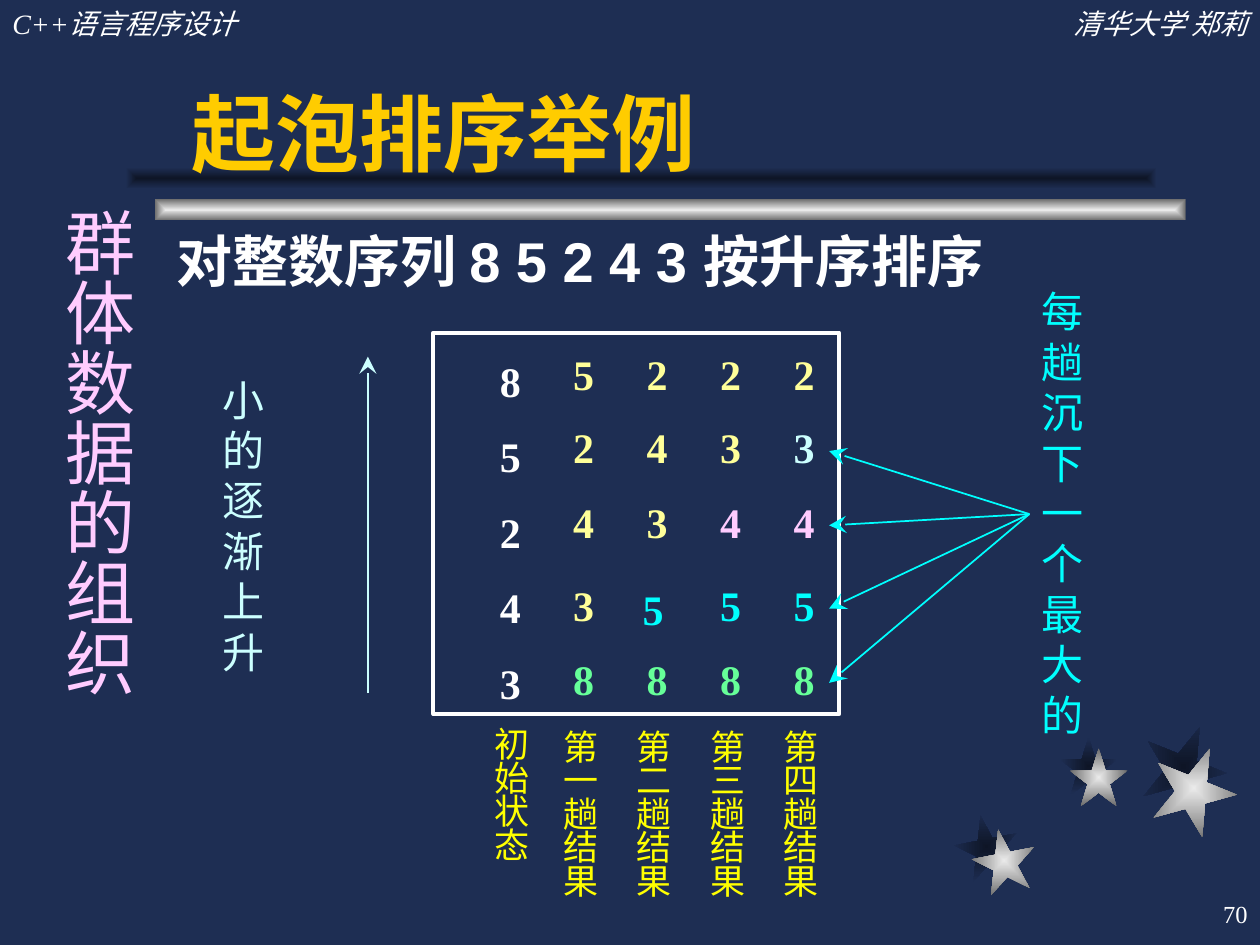
from lxml import etree
from pptx import Presentation
from pptx.dml.color import RGBColor
from pptx.enum.shapes import MSO_CONNECTOR, MSO_SHAPE
from pptx.enum.text import MSO_ANCHOR, MSO_AUTO_SIZE, PP_ALIGN
from pptx.oxml.ns import qn
from pptx.util import Inches, Pt

COLORS = {
    "navy": "1E2E53", "shade": "0E1526", "silver": "EAEAEA", "grey": "6C6C6C",
    "white": "FFFFFF", "gold": "FFCC00", "yellow": "FFFF00", "cream": "FFFF99",
    "green": "66FF99", "cyan": "00FFFF", "ice": "CCFFFF", "pink": "FFCCFF",
}
SERIF, SANS, CJK = "Times New Roman", "Arial", "Noto Sans CJK SC"
SHADOW, METAL = ("shade", "navy"), ("silver", "grey")

# left, top, size, rotation
STARS = {
    SHADOW: [(7.58, 6.47, 0.5, 349), (8.41, 5.85, 0.46, 0), (9.06, 5.75, 0.67, 22)],
    METAL: [(7.72, 6.58, 0.5, 349), (8.49, 5.94, 0.46, 0), (9.14, 5.92, 0.67, 22)],
}
BARS = {METAL: (1.23, 1.58), SHADOW: (1, 1.33)}

INITIAL = ["8", "5", "2", "4", "3"]
PASSES = ["52438", "24358", "23458", "23458"]
SETTLED = ["cream", "ice", "pink", "cyan", "green"]  # colour of each row once sorted
ROW_TOPS = [2.72, 3.3, 3.89, 4.55, 5.14]
FIRST_COLUMN, COLUMN_STEP = 4.45, 0.5833
NUDGES = {(1, 3): (-0.03, 0.03)}  # (pass, row): shift

# text, left, top, width, height
CAPTIONS = [("初始状态", 3.83, 5.75, 0.42, 1.17)] + [
    (f"第{number}趟结果", FIRST_COLUMN - 0.08 + index * COLUMN_STEP, 5.77, 0.42, 1.44)
    for index, number in enumerate("一二三四")]

ARROW_ORIGIN = (8.17, 4.08)
ARROW_TIPS = [(6.58, y) for y in (5.42, 4.83, 4.17, 3.58)]


def rgb(name):
    return RGBColor.from_string(COLORS[name])


def style(frame, size, color, font=SERIF, bold=False, italic=False,
          align=PP_ALIGN.LEFT, before=0, spacing=None):
    for para in frame.paragraphs:
        para.alignment = align
        para.space_before = Pt(before)
        if spacing:
            para.line_spacing = spacing
        for span in para.runs:
            span.font.name, span.font.size = font, Pt(size)
            span.font.bold, span.font.italic = bold, italic
            span.font.color.rgb = rgb(color)
            east_asian = etree.SubElement(span.font._element, qn("a:ea"))
            east_asian.set("typeface", CJK)


def add_text(page, text, left, top, width, height, size, color,
             wrap=True, grow=True, **look):
    box = page.shapes.add_textbox(*map(Inches, (left, top, width, height)))
    frame = box.text_frame
    frame.text = text
    frame.word_wrap = wrap
    frame.auto_size = MSO_AUTO_SIZE.SHAPE_TO_FIT_TEXT if grow else MSO_AUTO_SIZE.NONE
    style(frame, size, color, **look)
    return frame


def add_glow(page, kind, left, top, width, height, glow, rotation=0):
    """Add a borderless shape whose colour changes from its centre to its edges."""
    shape = page.shapes.add_shape(kind, *map(Inches, (left, top, width, height)))
    shape.rotation = rotation
    shape.shadow.inherit = False
    shape.line.fill.background()
    shape.fill.gradient()
    for stop, color in zip(shape.fill.gradient_stops, glow):
        stop.color.rgb = rgb(color)
    gradient = shape._element.spPr.find(qn("a:gradFill"))
    gradient.remove(gradient.find(qn("a:lin")))
    route = etree.SubElement(gradient, qn("a:path"))
    route.set("path", "rect")
    center = etree.SubElement(route, qn("a:fillToRect"))
    for side in "ltrb":
        center.set(side, "50000")


def add_arrow(page, start, tip, color):
    arrow = page.shapes.add_connector(MSO_CONNECTOR.STRAIGHT, *map(Inches, start + tip))
    arrow.line.color.rgb = rgb(color)
    arrow.line.width = Pt(1)
    end = etree.SubElement(arrow.line._get_or_add_ln(), qn("a:tailEnd"))
    for key, value in (("type", "stealth"), ("w", "lg"), ("len", "lg")):
        end.set(key, value)
    etree.SubElement(arrow._element.spPr, qn("a:effectLst"))


def add_decoration(page):
    for glow, stars in STARS.items():
        for left, top, size, rotation in stars:
            add_glow(page, MSO_SHAPE.STAR_5_POINT, left, top, size, size, glow, rotation)
    for glow, (left, top) in BARS.items():
        add_glow(page, MSO_SHAPE.RECTANGLE, left, top, 8.18, 0.17, glow)


def add_headings(page):
    add_text(page, "C++语言程序设计", 0, 0, 3.08, 0.37, 16, "white", italic=True, before=10)
    add_text(page, "清华大学 郑莉", 6.92, 0, 3.08, 0.37, 16, "white",
             italic=True, before=10, align=PP_ALIGN.RIGHT)
    number = add_text(page, "70", 7.92, 7, 2.08, 0.5, 14, "white",
                      wrap=False, grow=False, align=PP_ALIGN.RIGHT)
    number.vertical_anchor = MSO_ANCHOR.MIDDLE

    title = page.shapes.title
    title.left, title.top, title.width, title.height = map(Inches, (1.42, 0.58, 7.83, 0.92))
    title.text_frame.text = "起泡排序举例"
    title.text_frame.auto_size = MSO_AUTO_SIZE.NONE
    title.text_frame.vertical_anchor = MSO_ANCHOR.BOTTOM
    style(title.text_frame, 48, "gold", font=CJK, bold=True)

    add_text(page, "对整数序列 8 5 2 4 3 按升序排序", 1.3, 1.75, 7.95, 0.75, 32, "white",
             grow=False, font=SANS, bold=True, before=8)


def add_sorting_grid(page):
    add_text(page, "\n".join(INITIAL), 3.87, 2.57, 0.37, 3.1, 24, "white",
             wrap=False, bold=True, spacing=1.5)
    for column, digits in enumerate(PASSES):
        first_settled = len(digits) - 1 - column
        for row, digit in enumerate(digits):
            shift_x, shift_y = NUDGES.get((column, row), (0, 0))
            color = SETTLED[row] if row >= first_settled else "cream"
            add_text(page, digit, FIRST_COLUMN + column * COLUMN_STEP + shift_x,
                     ROW_TOPS[row] + shift_y, 0.37, 0.5, 24, color, wrap=False, bold=True)
    border = page.shapes.add_shape(MSO_SHAPE.RECTANGLE, *map(Inches, (3.44, 2.64, 3.22, 3.03)))
    border.shadow.inherit = False
    border.fill.background()
    border.line.color.rgb = rgb("white")
    border.line.width = Pt(2.25)
    for caption in CAPTIONS:
        add_text(page, *caption, 20, "yellow", before=12.5, spacing=0.8)


def add_side_notes(page):
    add_text(page, "小的逐渐上升", 1.67, 2.92, 0.67, 2.5, 24, "ice", before=15)
    add_arrow(page, (2.92, 5.5), (2.92, 2.83), "ice")
    for tip in ARROW_TIPS:
        add_arrow(page, ARROW_ORIGIN, tip, "cyan")
    add_text(page, "每趟沉下一个最大的", 8.17, 2.22, 0.58, 3.7, 24, "cyan", before=15)
    chapter = add_text(page, "群体数据的组织", 0.3, 1.55, 0.86, 4.66, 40, "pink",
                       font=CJK, before=25)
    chapter._txBody.bodyPr.set("vert", "eaVert")
    chapter.margin_left = chapter.margin_right = Inches(0.05)
    chapter.margin_top = chapter.margin_bottom = Inches(0.1)


def main():
    deck = Presentation()
    deck.slide_width, deck.slide_height = Inches(10), Inches(7.5)
    page = deck.slides.add_slide(deck.slide_layouts[5])
    page.background.fill.solid()
    page.background.fill.fore_color.rgb = rgb("navy")
    add_decoration(page)
    # Keep the title in front of the bars
    page.shapes._spTree.append(page.shapes.title._element)
    add_headings(page)
    add_sorting_grid(page)
    add_side_notes(page)
    deck.save("out.pptx")


if __name__ == "__main__":
    main()
